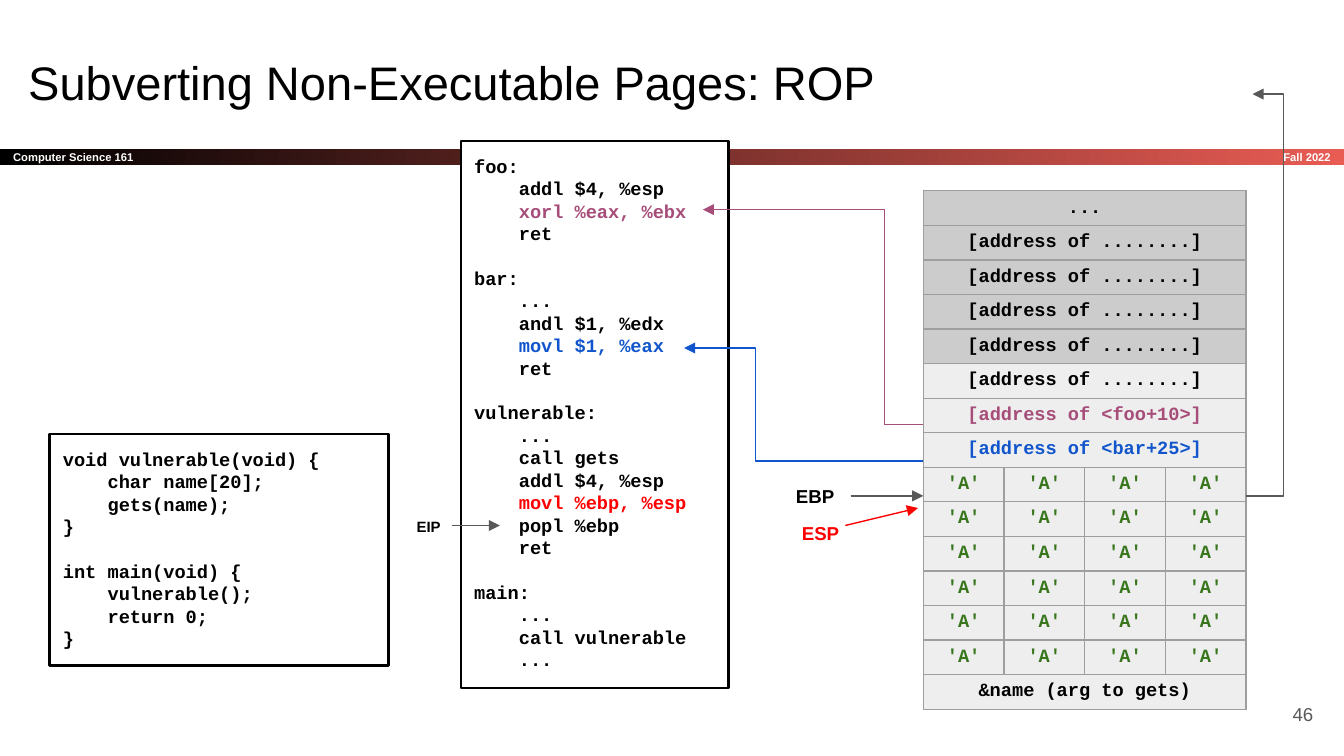
from dataclasses import dataclass
from typing import NamedTuple

from lxml import etree
from pptx import Presentation
from pptx.dml.color import RGBColor
from pptx.enum.shapes import MSO_CONNECTOR, MSO_SHAPE
from pptx.enum.text import MSO_ANCHOR, MSO_AUTO_SIZE, PP_ALIGN
from pptx.oxml.ns import qn
from pptx.util import Inches, Pt

LEFT, CENTER, RIGHT = PP_ALIGN.LEFT, PP_ALIGN.CENTER, PP_ALIGN.RIGHT
TOP, MIDDLE = MSO_ANCHOR.TOP, MSO_ANCHOR.MIDDLE
RECTANGLE, STRAIGHT = MSO_SHAPE.RECTANGLE, MSO_CONNECTOR.STRAIGHT
NO_AUTOFIT = MSO_AUTO_SIZE.NONE
TITLE_ONLY = 5
SLIDE_WIDTH = 10


@dataclass(frozen=True)
class Theme:
    sans: str = "Arial"
    mono: str = "Courier New"
    black: str = "000000"
    white: str = "FFFFFF"
    coral: str = "E85C54"
    gray: str = "595959"
    border: str = "9E9E9E"
    caller: str = "CCCCCC"
    frame: str = "EEEEEE"
    plum: str = "A64D79"
    blue: str = "1155CC"
    green: str = "38761D"
    red: str = "FF0000"
    title: float = 25.2
    body: float = 10
    small: float = 8
    band: float = 6
    code_gap: float = 12
    outline: float = 1.5
    hairline: float = 0.75


THEME = Theme()


class Box(NamedTuple):
    x: float
    y: float
    w: float
    h: float

    @property
    def right(self):
        return self.x + self.w

    def lengths(self):
        return [Inches(side) for side in self]


FUNCTIONS = [
    ["foo:", "    addl $4, %esp", "    xorl %eax, %ebx", "    ret"],
    ["bar:", "    ...", "    andl $1, %edx", "    movl $1, %eax", "    ret"],
    ["vulnerable:", "    ...", "    call gets\n    addl $4, %esp",
     "    movl %ebp, %esp", "    popl %ebp", "    ret"],
    ["main:", "    ...", "    call vulnerable", "    ..."],
]
C_SOURCE = [
    ["void vulnerable(void) {", "    char name[20];", "    gets(name);", "}"],
    ["int main(void) {", "    vulnerable();", "    return 0;", "}"],
]
HIGHLIGHTS = {
    "    xorl %eax, %ebx": THEME.plum,
    "    movl $1, %eax": THEME.blue,
    "    movl %ebp, %esp": THEME.red,
}
UNKNOWN = "[address of ........]"
STACK_WORDS = (
    [("...", THEME.black, THEME.caller)]
    + [(UNKNOWN, THEME.black, THEME.caller)] * 4
    + [(UNKNOWN, THEME.black, THEME.frame),
       ("[address of <foo+10>]", THEME.plum, THEME.frame),
       ("[address of <bar+25>]", THEME.blue, THEME.frame)]
    + [("'A'", THEME.green, THEME.frame)] * 6
    + [("&name (arg to gets)", THEME.black, THEME.frame)]
)
STACK_COLUMNS = 4


def rgb(color):
    return RGBColor.from_string(color)


def set_all(target, values):
    for attribute, value in values.items():
        setattr(target, attribute, value)


def style(paragraph, size, color, font=THEME.sans, bold=True, align=LEFT):
    paragraph.alignment = align
    set_all(paragraph.font, {"name": font, "size": Pt(size), "bold": bold})
    paragraph.font.color.rgb = rgb(color)


def margins(inset):
    return {f"margin_{side}": Inches(inset) for side in ("left", "right", "top", "bottom")}


def set_frame(frame, anchor=TOP, inset=0.1):
    set_all(frame, {"word_wrap": True, "auto_size": NO_AUTOFIT,
                    "vertical_anchor": anchor, **margins(inset)})


def label(slide, box, text, size, color, bold=True, align=CENTER, anchor=TOP, inset=0.1):
    frame = slide.shapes.add_textbox(*box.lengths()).text_frame
    set_frame(frame, anchor, inset)
    frame.text = text
    style(frame.paragraphs[0], size, color, bold=bold, align=align)


def heading(slide, box, text):
    title = slide.shapes.title
    set_all(title, dict(zip(("left", "top", "width", "height"), box.lengths())))
    set_frame(title.text_frame)
    title.text_frame.text = text
    style(title.text_frame.paragraphs[0], THEME.title, THEME.black, bold=False)


def course_band(slide, box, course, term):
    band = slide.shapes.add_shape(RECTANGLE, *box.lengths())
    band.shadow.inherit = False
    band.line.fill.background()
    band.fill.gradient()
    band.fill.gradient_angle = 0
    for stop, color in zip(band.fill.gradient_stops, (THEME.black, THEME.coral)):
        stop.color.rgb = rgb(color)
    set_frame(band.text_frame, MIDDLE)
    band.text_frame.text = course
    style(band.text_frame.paragraphs[0], THEME.band, THEME.white)
    term_width = 1.66
    label(slide, Box(box.right - term_width, box.y, term_width, box.h), term,
          THEME.band, THEME.white, align=RIGHT, anchor=MIDDLE)


def code_panel(slide, box, functions):
    panel = slide.shapes.add_shape(RECTANGLE, *box.lengths())
    panel.shadow.inherit = False
    panel.fill.solid()
    panel.fill.fore_color.rgb = rgb(THEME.white)
    panel.line.color.rgb = rgb(THEME.black)
    panel.line.width = Pt(THEME.outline)
    frame = panel.text_frame
    set_frame(frame)
    for index, function in enumerate(functions):
        for row, text in enumerate(function):
            first = index == row == 0
            line = frame.paragraphs[0] if first else frame.add_paragraph()
            line.text = text
            style(line, THEME.body, HIGHLIGHTS.get(text, THEME.black), THEME.mono)
            if index and row == 0:
                line.space_before = Pt(THEME.code_gap)


def paint_cell(cell, fill):
    cell.fill.solid()
    cell.fill.fore_color.rgb = rgb(fill)
    properties = cell._tc.get_or_add_tcPr()
    for position, edge in enumerate(("a:lnL", "a:lnR", "a:lnT", "a:lnB")):
        border = etree.Element(qn(edge), w=str(Pt(THEME.hairline)))
        solid = etree.SubElement(border, qn("a:solidFill"))
        etree.SubElement(solid, qn("a:srgbClr"), val=THEME.border)
        properties.insert(position, border)


def stack_table(slide, box):
    stack = slide.shapes.add_table(len(STACK_WORDS), STACK_COLUMNS, *box.lengths()).table
    for column in stack.columns:
        column.width = Inches(box.w / STACK_COLUMNS)
    for row, (text, color, fill) in enumerate(STACK_WORDS):
        stack.rows[row].height = Inches(box.h / len(STACK_WORDS))
        cells = [stack.cell(row, column) for column in range(STACK_COLUMNS)]
        is_buffer = text == "'A'"
        if not is_buffer:
            cells[0].merge(cells[-1])
        for cell in cells:
            paint_cell(cell, fill)
            set_all(cell, margins(0.05))
            if is_buffer or cell is cells[0]:
                cell.text = text
            style(cell.text_frame.paragraphs[0], THEME.body, color, THEME.mono, align=CENTER)


def arrow(slide, points, color):
    corners = [(Inches(x), Inches(y)) for x, y in points]
    if len(corners) == 2:
        route = slide.shapes.add_connector(STRAIGHT, *corners[0], *corners[1])
    else:
        builder = slide.shapes.build_freeform(*corners[0], scale=1.0)
        builder.add_line_segments(corners[1:], close=False)
        route = builder.convert_to_shape()
        route.fill.background()
    route.line.color.rgb = rgb(color)
    route.line.width = Pt(THEME.hairline)
    properties = route.element.spPr
    etree.SubElement(properties.find(qn("a:ln")), qn("a:tailEnd"), type="triangle")
    etree.SubElement(properties, qn("a:effectLst"))


def elbow(slide, start, bend_x, end, color):
    arrow(slide, [start, (bend_x, start[1]), (bend_x, end[1]), end], color)


def registers(slide, assembly, stack):
    label(slide, Box(assembly.x - 0.41, 3.8, 0.34, 0.24), "EIP",
          THEME.small, THEME.black, inset=0.05)
    arrow(slide, [(assembly.x - 0.07, 3.91), (assembly.x + 0.29, 3.91)], THEME.gray)
    label(slide, Box(stack.x - 1.03, 3.78, 0.53, 0.37), "ESP", THEME.body, THEME.red)
    arrow(slide, [(stack.x - 0.58, 3.91), (stack.x - 0.04, 3.78)], THEME.red)
    label(slide, Box(stack.x - 1.07, 3.51, 0.53, 0.37), "EBP", THEME.body, THEME.black)
    arrow(slide, [(stack.x - 0.54, 3.69), (stack.x, 3.69)], THEME.gray)


def jumps(slide, assembly, stack):
    elbow(slide, (stack.right, 3.69), stack.right + 0.28, (stack.right + 0.05, 0.7), THEME.gray)
    elbow(slide, (stack.x, 3.16), stack.x - 0.29, (assembly.right - 0.19, 1.56), THEME.plum)
    elbow(slide, (stack.x, 3.43), stack.x - 1.25, (assembly.right - 0.33, 2.59), THEME.blue)


def rop_slide(deck):
    slide = deck.slides.add_slide(deck.slide_layouts[TITLE_ONLY])
    assembly = Box(3.43, 1.05, 1.99, 4.07)
    stack = Box(6.87, 1.42, 2.4, 2.55)
    course_band(slide, Box(0, 1.11, SLIDE_WIDTH, 0.12), "Computer Science 161", "Fall 2022")
    heading(slide, Box(0.11, 0.3, 9.32, 0.63), "Subverting Non-Executable Pages: ROP")
    stack_table(slide, stack)
    code_panel(slide, assembly, FUNCTIONS)
    code_panel(slide, Box(0.37, 3.23, 2.52, 1.72), C_SOURCE)
    registers(slide, assembly, stack)
    jumps(slide, assembly, stack)
    label(slide, Box(9.27, 5.1, 0.6, 0.43), "46", THEME.body, THEME.gray,
          bold=False, align=RIGHT, anchor=MIDDLE)


def main():
    deck = Presentation()
    set_all(deck, {"slide_width": Inches(SLIDE_WIDTH),
                   "slide_height": Inches(SLIDE_WIDTH * 9 / 16)})
    rop_slide(deck)
    deck.save("out.pptx")


if __name__ == "__main__":
    main()
